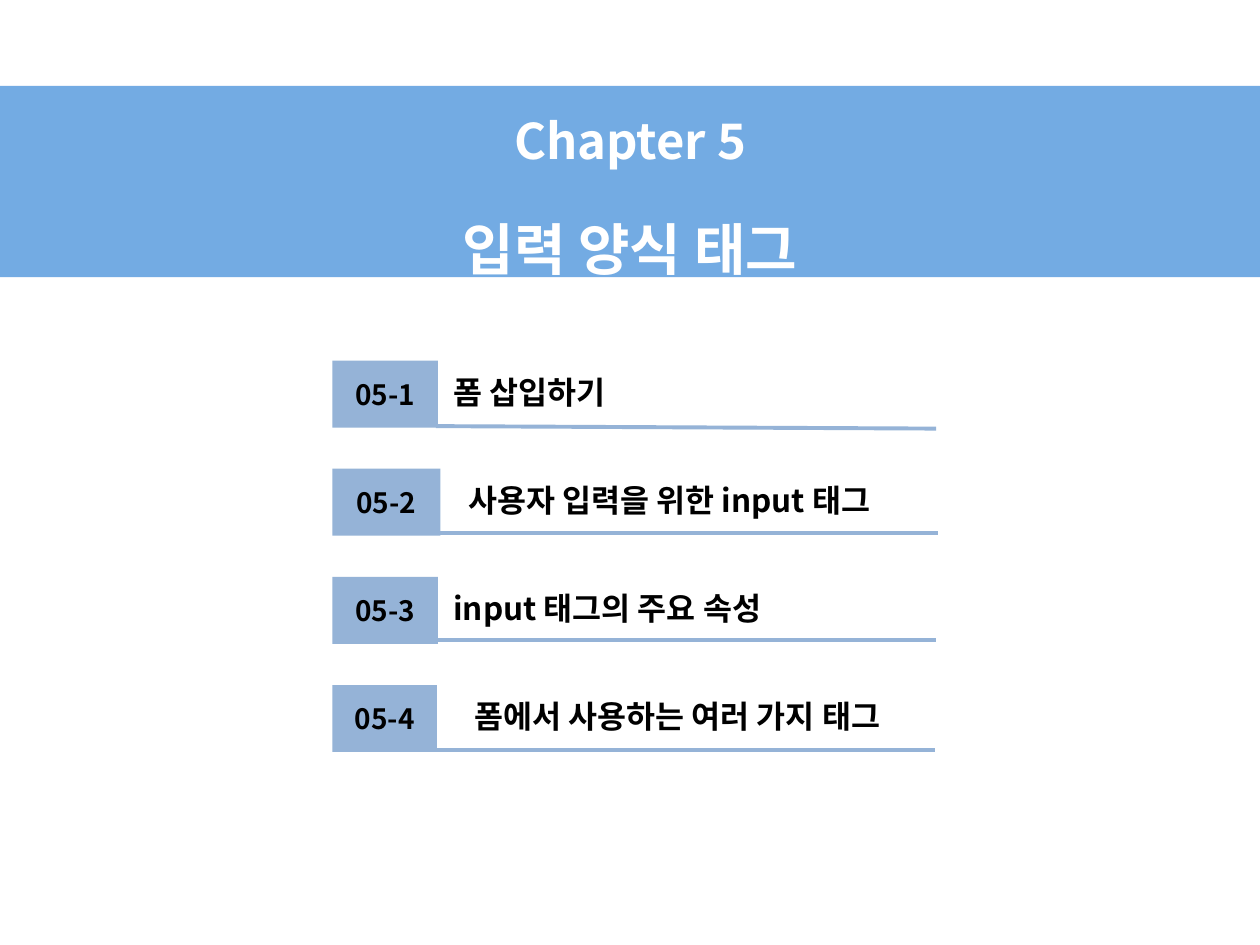
from lxml.etree import SubElement
from pptx import Presentation
from pptx.dml.color import RGBColor
from pptx.enum.shapes import MSO_CONNECTOR, MSO_SHAPE
from pptx.enum.text import MSO_ANCHOR, PP_ALIGN
from pptx.oxml.ns import qn
from pptx.util import Cm, Pt

FONT = "Noto Sans CJK KR"
ACCENT = "95B3D7"


def rgb(color):
    return RGBColor.from_string(color)


def style(paragraph, size, color="000000", align=PP_ALIGN.LEFT):
    """Format the runs, giving Latin and Korean letters the same font."""
    paragraph.alignment = align
    for run in paragraph.runs:
        run.font.name = FONT
        run.font.size = Pt(size)
        run.font.bold = True
        run.font.color.rgb = rgb(color)
        SubElement(run.font._element, qn("a:ea"), typeface=FONT)


prs = Presentation()
prs.slide_width, prs.slide_height = Cm(25.4), Cm(19.05)
slide = prs.slides.add_slide(prs.slide_layouts[6])
shapes = slide.shapes

# Chapter banner
banner = shapes.add_shape(MSO_SHAPE.RECTANGLE, 0, Cm(1.73), prs.slide_width, Cm(3.86))
banner.shadow.inherit = False
banner.fill.solid()
banner.fill.fore_color.rgb = rgb("0066CC")
banner_color = banner.fill._xPr.find(qn("a:solidFill"))[0]
SubElement(banner_color, qn("a:alpha"), val="55000")
banner.line.fill.background()
banner.text_frame.vertical_anchor = MSO_ANCHOR.MIDDLE
banner.text_frame.text = "Chapter 5\n입력 양식 태그"
for paragraph, size in zip(banner.text_frame.paragraphs, (28, 32)):
    style(paragraph, size, "FFFFFF", PP_ALIGN.CENTER)
    paragraph.line_spacing = 1.5
    paragraph.space_before = Pt(size * 0.2)

# Contents: heading, badge width, heading left and width,
# rule start, rule end, rule height below the row top and its drop
sections = [
    ("폼 삽입하기", 2.13, 8.89, 8.28, 8.79, 18.87, 1.32, 0.05),
    ("사용자 입력을 위한 input 태그", 2.18, 9.19, 9.42, 8.51, 18.9, 1.3, 0),
    ("input 태그의 주요 속성", 2.13, 8.89, 8.28, 8.79, 18.87, 1.27, 0),
    ("폼에서 사용하는 여러 가지 태그", 2.11, 9.32, 9.96, 8.76, 18.85, 1.3, 0),
]
LEFT, TOP, PITCH = 6.7, 7.27, 2.18

for number, section in enumerate(sections, start=1):
    title, badge_width, title_left, title_width, start, end, below, drop = section
    top = TOP + (number - 1) * PITCH

    badge = shapes.add_shape(MSO_SHAPE.RECTANGLE, Cm(LEFT), Cm(top), Cm(badge_width), Cm(1.35))
    badge.shadow.inherit = False
    badge.fill.solid()
    badge.fill.fore_color.rgb = rgb(ACCENT)
    badge.line.fill.background()
    badge.text_frame.vertical_anchor = MSO_ANCHOR.MIDDLE
    badge.text_frame.text = f"05-{number}"
    style(badge.text_frame.paragraphs[0], 16, align=PP_ALIGN.CENTER)

    heading = shapes.add_textbox(Cm(title_left), Cm(top + 0.12), Cm(title_width), Cm(1.02))
    heading.text_frame.word_wrap = True
    heading.text_frame.text = title
    style(heading.text_frame.paragraphs[0], 18)

    rule = shapes.add_connector(
        MSO_CONNECTOR.STRAIGHT, Cm(start), Cm(top + below), Cm(end), Cm(top + below + drop)
    )
    rule.line.color.rgb = rgb(ACCENT)
    rule.line.width = Pt(2.25)
    SubElement(rule._element.spPr, qn("a:effectLst"))

prs.save("out.pptx")
